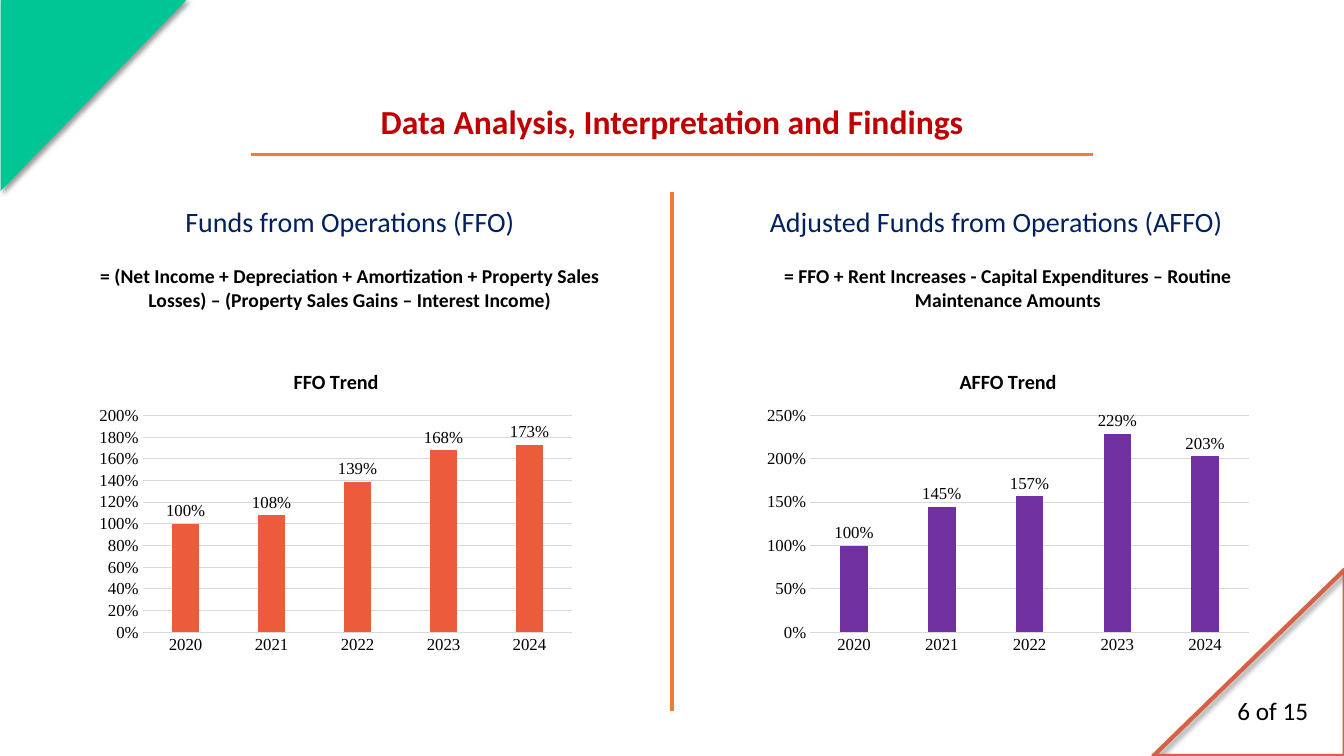
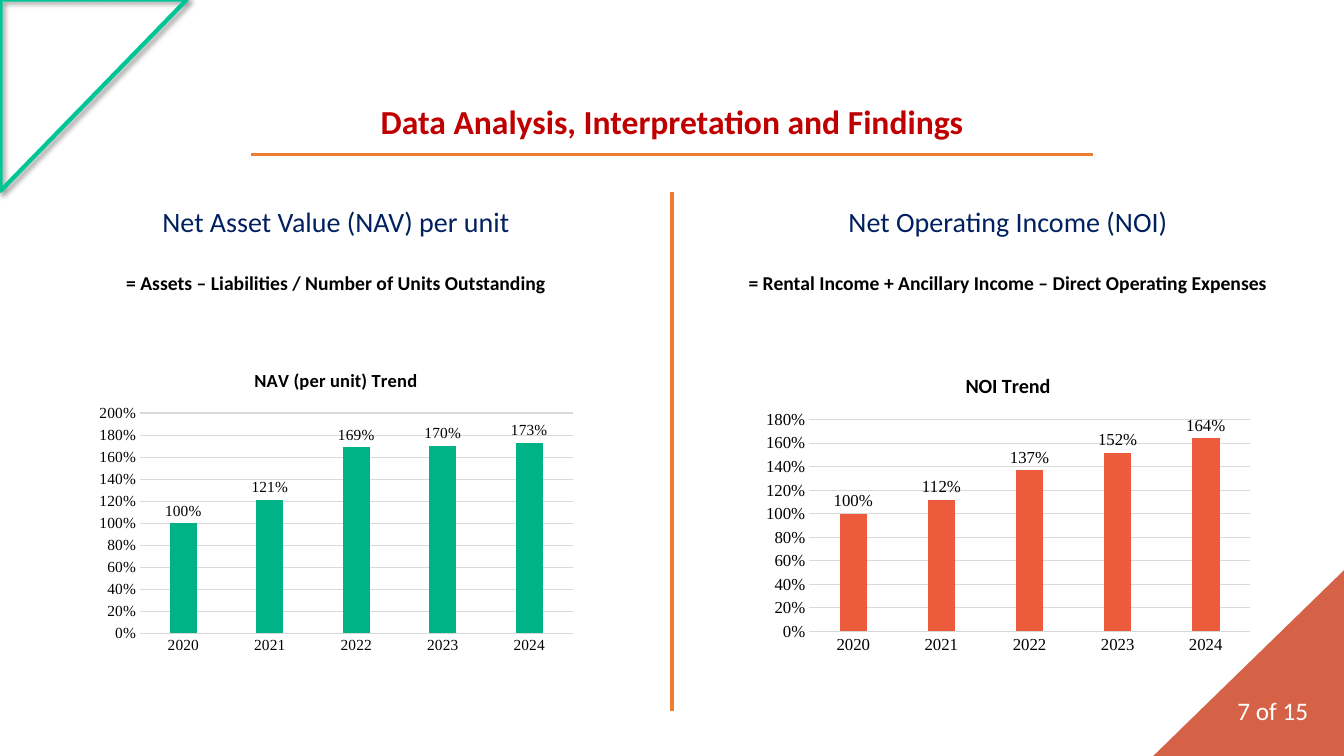
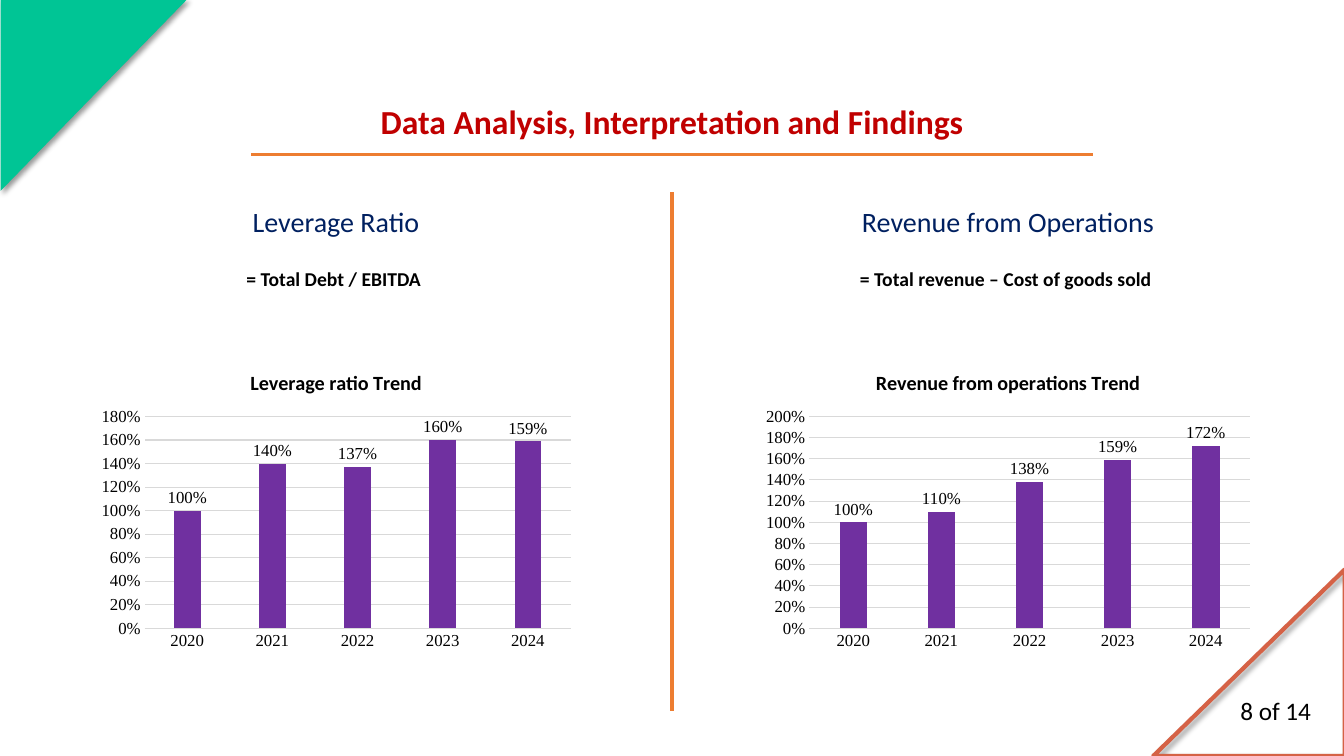
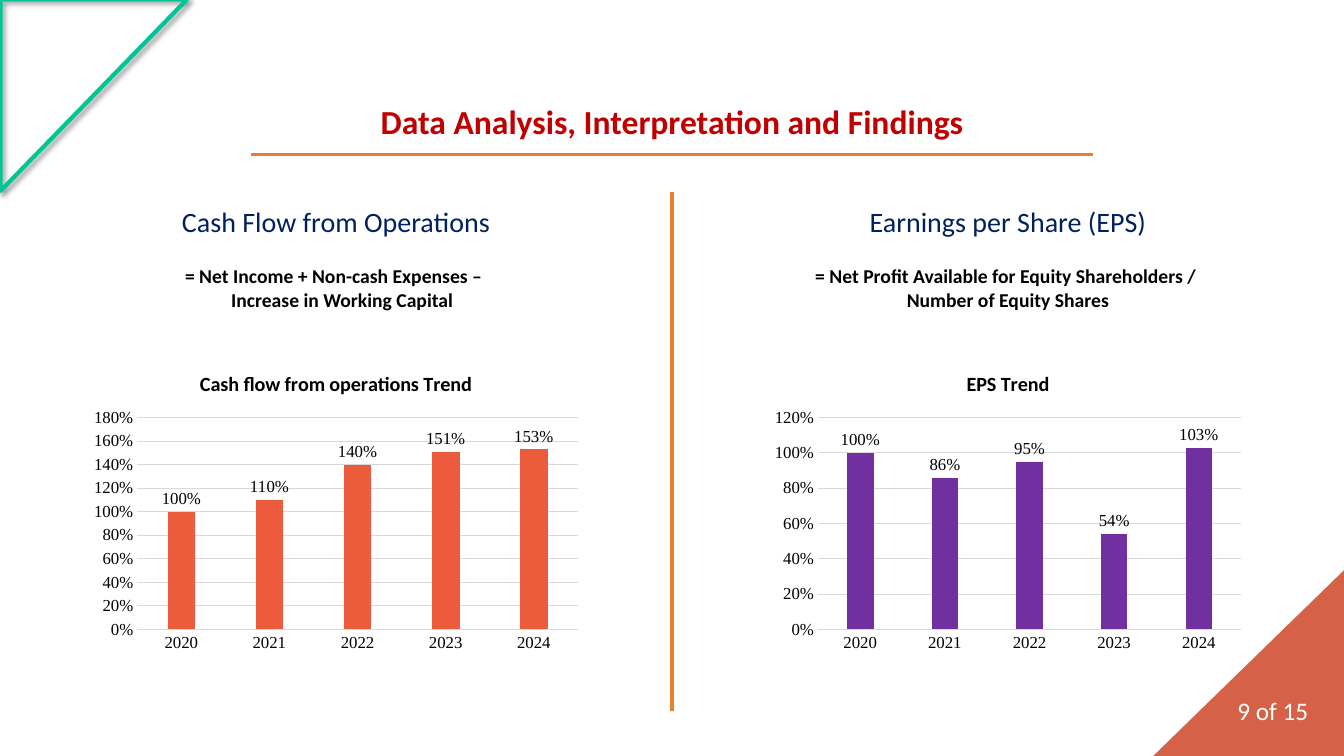
"""Build four slides of indexed financial trends for a property trust."""
import lxml.etree
import pptx
import pptx.chart.data
import pptx.dml.color
import pptx.enum.chart
import pptx.enum.shapes
import pptx.enum.text
import pptx.oxml.ns
import pptx.util

Pt = pptx.util.Pt
qn = pptx.oxml.ns.qn

HUES = {
    "green": "00C595", "rust": "D56246", "title": "C00000", "rule": "ED7D31",
    "head": "002060", "black": "000000", "ink": "0D0D0D", "white": "FFFFFF",
    "grid": "D9D9D9", "purple": "7030A0", "coral": "EB5B3C", "leaf": "00B386",
}
SANS, SERIF = "Calibri", "Times New Roman"
YEARS = ["2020", "2021", "2022", "2023", "2024"]
LEFT, RIGHT = 240, 720

SLIDES = [
    {"page": "6 of 15 ", "solid": True, "panes": [
        {"mid": LEFT, "head": (250, 382, ["Funds from Operations (FFO)"]),
         "rule": (250, 185, 382, ["= (Net Income + Depreciation + Amortization + Property Sales "
                                  "Losses) – (Property Sales Gains – Interest Income)"]),
         "chart": ("FFO Trend", "coral", [100, 108, 139, 168, 173], 252, 352, 219.6, 12)},
        {"mid": RIGHT, "head": (711.5, 451, ["Adjusted", " ", "Funds from Operations (AFFO)"]),
         "rule": (RIGHT, 185, 376, ["= FFO + Rent Increases - Capital Expenditures – Routine "
                                    "Maintenance Amounts"]),
         "chart": ("AFFO Trend", "purple", [100, 145, 157, 229, 203], 252, 358.6, 219.6, 12)}]},
    {"page": "7 of 15 ", "solid": False, "panes": [
        {"mid": LEFT, "head": (LEFT, 382, ["Net Asset Value (NAV) per unit"]),
         "rule": (LEFT, 190, 352, ["= Assets – Liabilities / Number of Units Outstanding"]),
         "chart": ("NAV (per unit) Trend", "leaf", [100, 121, 169, 170, 173], 252, 352, 219.6, 11)},
        {"mid": RIGHT, "head": (RIGHT, 433, ["Net Operating Income (NOI)"]),
         "rule": (RIGHT, 190, 393,
                  ["= Rental Income + Ancillary Income – Direct Operating Expenses"]),
         "chart": ("NOI Trend", "coral", [100, 112, 137, 152, 164], 255, 360, 216, 12)}]},
    {"page": "8 of 14", "solid": True, "panes": [
        {"mid": LEFT, "head": (LEFT, 382, ["Leverage Ratio"]),
         "rule": (LEFT, 187, 198, ["= Total Debt / EBITDA "]),
         "chart": ("Leverage ratio Trend", "purple", [100, 140, 137, 160, 159],
                   252.7, 349, 216, 12)},
        {"mid": RIGHT, "head": (RIGHT, 433, ["Revenue from Operations"]),
         "rule": (RIGHT, 187, 309, ["= Total revenue – Cost of goods sold "]),
         "chart": ("Revenue from operations Trend", "purple", [100, 110, 138, 159, 172],
                   252.7, 360, 216, 12)}]},
    {"page": "9 of 15 ", "solid": False, "panes": [
        {"mid": LEFT, "head": (LEFT, 382, ["Cash Flow from Operations"]),
         "rule": (LEFT, 185, 340,
                  ["= Net Income + Non-cash Expenses – ", "Increase in Working Capital"]),
         "dent": 9,
         "chart": ("Cash flow from operations Trend", "coral", [100, 110, 140, 151, 153],
                   253.5, 360, 216, 12)},
        {"mid": RIGHT, "head": (RIGHT, 433, ["Earnings per Share (EPS)"]),
         "rule": (RIGHT, 185, 376,
                  ["= Net Profit Available for Equity Shareholders / ",
                   "Number of Equity Shares"]),
         "chart": ("EPS Trend", "purple", [100, 86, 95, 54, 103], 253.5, 347, 216, 12)}]},
]


def tint(name):
    return pptx.dml.color.RGBColor.from_string(HUES[name])


def style(font, size, hue="black", bold=False, face=SANS):
    font.name = face
    font.size = Pt(size)
    font.bold = bold
    font.color.rgb = tint(hue)


def add_run(para, words, *look):
    run = para.add_run()
    run.text = words
    style(run.font, *look)


def add_text(slide, mid, top, width, height, lines, after=0, dent=0):
    box = slide.shapes.add_textbox(Pt(mid - width / 2), Pt(top), Pt(width), Pt(height))
    frame = box.text_frame
    frame.word_wrap = True
    frame.auto_size = pptx.enum.text.MSO_AUTO_SIZE.SHAPE_TO_FIT_TEXT
    for place, runs in enumerate(lines):
        para = frame.add_paragraph() if place else frame.paragraphs[0]
        para.alignment = pptx.enum.text.PP_ALIGN.CENTER
        para.space_after = Pt(after)
        if place and dent:
            para._p.get_or_add_pPr().set("marL", str(Pt(dent)))
        for run in runs:
            add_run(para, *run)


def add_line(slide, start, end, weight):
    line = slide.shapes.add_connector(
        pptx.enum.shapes.MSO_CONNECTOR.STRAIGHT, *map(Pt, start + end))
    line.line.color.rgb = tint("rule")
    line.line.width = Pt(weight)
    lxml.etree.SubElement(line.element.spPr, qn("a:effectLst"))


def add_shade(shape):
    shape.shadow.inherit = False
    effects = shape.element.spPr.find(qn("a:effectLst"))
    shade = lxml.etree.SubElement(
        effects, qn("a:outerShdw"), blurRad=str(Pt(4)), dist=str(Pt(3)),
        dir="2700000", algn="tl", rotWithShape="0")
    black = lxml.etree.SubElement(shade, qn("a:srgbClr"), val=HUES["black"])
    lxml.etree.SubElement(black, qn("a:alpha"), val="40000")


def add_corner(slide, left, top, turn, hue, solid, flip=False):
    shape = slide.shapes.add_shape(
        pptx.enum.shapes.MSO_SHAPE.RIGHT_TRIANGLE, Pt(left), Pt(top), Pt(136.8), Pt(133.2))
    shape.rotation = turn
    if flip:
        shape.element.spPr.xfrm.set("flipV", "1")
    if solid:
        shape.fill.solid()
        shape.fill.fore_color.rgb = tint(hue)
        shape.line.fill.background()
    else:
        shape.fill.background()
        shape.line.color.rgb = tint(hue)
        shape.line.width = Pt(3)
    add_shade(shape)


def set_axis(axis, size):
    axis.major_tick_mark = pptx.enum.chart.XL_TICK_MARK.NONE
    axis.minor_tick_mark = pptx.enum.chart.XL_TICK_MARK.NONE
    style(axis.tick_labels.font, size, face=SERIF)


def set_line(line):
    line.color.rgb = tint("grid")
    line.width = Pt(0.75)


def add_chart(slide, mid, title, hue, rates, top, width, height, size):
    data = pptx.chart.data.CategoryChartData(number_format="0%")
    data.categories = YEARS
    data.add_series(title, [rate / 100 for rate in rates])
    chart = slide.shapes.add_chart(
        pptx.enum.chart.XL_CHART_TYPE.COLUMN_CLUSTERED, Pt(mid - width / 2), Pt(top),
        Pt(width), Pt(height), data).chart
    style(chart.font, size, face=SERIF)
    chart.has_legend = False
    chart.has_title = True
    chart.chart_title.include_in_layout = False
    add_run(chart.chart_title.text_frame.paragraphs[0], title, size * 1.2, "black", True)

    set_axis(chart.category_axis, size)
    set_line(chart.category_axis.format.line)
    scale = chart.value_axis
    set_axis(scale, size)
    scale.format.line.fill.background()
    set_line(scale.major_gridlines.format.line)
    scale.tick_labels.number_format = "0%"
    scale.tick_labels.number_format_is_linked = False

    plot = chart.plots[0]
    plot.gap_width = 219
    plot.overlap = -27
    plot.vary_by_categories = False
    bars = plot.series[0]
    bars.format.fill.solid()
    bars.format.fill.fore_color.rgb = tint(hue)
    labels = bars.data_labels
    labels.show_value = True
    labels.position = pptx.enum.chart.XL_LABEL_POSITION.OUTSIDE_END
    labels.number_format = "0%"
    labels.number_format_is_linked = False
    style(labels.font, size, face=SERIF)


def add_frame(slide, page, solid):
    add_corner(slide, -1.4, 1.4, 90, "green", solid)
    add_corner(slide, 823.7, 406.8, 180, "rust", not solid, flip=True)
    add_text(slide, 911.2, 493.2, 97.2, 29,
             [[(page, 18, "black" if solid else "white")]])
    add_text(slide, 480, 68.4, 849, 36,
             [[("Data Analysis, Interpretation and Findings", 24, "title", True)]])
    add_line(slide, (179.3, 110.2), (780.5, 110.2), 2.25)
    add_line(slide, (480, 137.5), (480, 507.6), 3)


def add_pane(slide, pane):
    mid, width, words = pane["head"]
    looks = {" ": (18, "ink", True, SERIF)}
    runs = [(word, *looks.get(word, (20, "head"))) for word in words]
    add_text(slide, mid, 142.5, width, 31.5, [runs], after=8)
    mid, top, width, lines = pane["rule"]
    add_text(slide, mid, top, width, 24.5 if top > 185 else 41,
             [[(line, 14, "black", True)] for line in lines], dent=pane.get("dent", 0))
    add_chart(slide, pane["mid"], *pane["chart"])


def main():
    deck = pptx.Presentation()
    deck.slide_width, deck.slide_height = Pt(960), Pt(540)
    for item in SLIDES:
        slide = deck.slides.add_slide(deck.slide_layouts[6])
        add_frame(slide, item["page"], item["solid"])
        for pane in item["panes"]:
            add_pane(slide, pane)
    deck.save("out.pptx")


if __name__ == "__main__":
    main()
